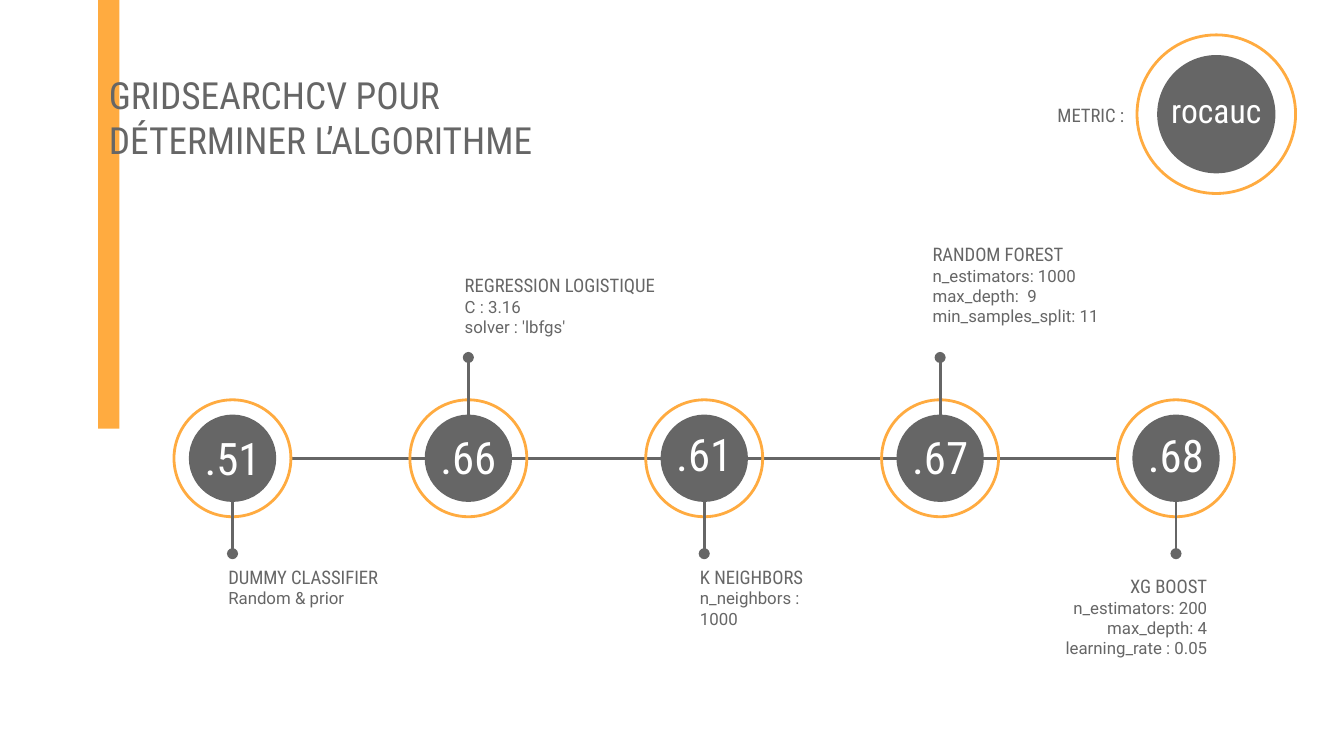
"""Build a timeline slide comparing the ROC AUC of five classifiers."""
from copy import deepcopy

from lxml import etree
from pptx import Presentation
from pptx.dml.color import RGBColor
from pptx.enum.shapes import MSO_CONNECTOR, MSO_SHAPE
from pptx.enum.text import MSO_ANCHOR, MSO_AUTO_SIZE, PP_ALIGN
from pptx.oxml.ns import qn
from pptx.util import Inches, Pt

RECT, OVAL = MSO_SHAPE.RECTANGLE, MSO_SHAPE.OVAL
STRAIGHT = MSO_CONNECTOR.STRAIGHT
TOP, MIDDLE = MSO_ANCHOR.TOP, MSO_ANCHOR.MIDDLE
LEFT, CENTER, RIGHT = PP_ALIGN.LEFT, PP_ALIGN.CENTER, PP_ALIGN.RIGHT
NO_FIT = MSO_AUTO_SIZE.NONE
ORANGE = RGBColor(0xFF, 0xAB, 0x40)
GREY = RGBColor(0x66, 0x66, 0x66)
WHITE = RGBColor(0xFF, 0xFF, 0xFF)
HEADING_FONT, BODY_FONT = "Roboto Condensed", "Roboto"

TITLE = "GRIDSEARCHCV POUR DÉTERMINER L’ALGORITHME"
METRIC_LABEL, METRIC = "METRIC :", "rocauc"
MODELS = [
    dict(score=".51", score_top=3.03, up=False, box=(1.6, 4.11, 1.38, 0.5), align=LEFT,
         lines=["DUMMY CLASSIFIER", "Random & prior"]),
    dict(score=".66", score_top=3.02, up=True, box=(3.36, 1.94, 1.97, 0.75), align=LEFT,
         lines=["REGRESSION LOGISTIQUE\nC : 3.16", "solver : 'lbfgs'"]),
    dict(score=".61", score_top=3, up=False, box=(5.11, 4.11, 1.24, 0.5), align=LEFT,
         lines=["K NEIGHBORS\nn_neighbors : 1000"]),
    dict(score=".67", score_top=3.02, up=True, box=(6.84, 1.71, 2.21, 0.75), align=LEFT,
         lines=["RANDOM FOREST\nn_estimators: 1000", "max_depth:  9",
                "min_samples_split: 11"]),
    dict(score=".68", score_top=3.01, up=False, box=(7.77, 4.18, 1.31, 0.75), align=RIGHT,
         lines=["XG BOOST\nn_estimators: 200", "max_depth: 4", "learning_rate : 0.05"]),
]

FIRST_X, LAST_X, AXIS_Y = 1.73, 8.75, 3.41
STEP = (LAST_X - FIRST_X) / (len(MODELS) - 1)
RING, DISC = 0.87, 0.65
STEM_UP, STEM_DOWN = (3.09, 2.66), (3.73, 4.12)
METRIC_X, METRIC_Y, METRIC_RING, METRIC_DISC = 9.05, 0.85, 1.18, 0.88


def add_shape(s, kind, box, fill=None, line=None):
    sp = s.shapes.add_shape(kind, *map(Inches, box))
    sp.shadow.inherit = False
    if fill is None:
        sp.fill.background()
    else:
        sp.fill.solid()
        sp.fill.fore_color.rgb = fill
    if line is None:
        sp.line.fill.background()
    else:
        sp.line.color.rgb = line
        sp.line.width = Pt(1.5)
    return sp


def add_badge(s, x, y, ring, disc):
    for size, colors in ((ring, dict(line=ORANGE)), (disc, dict(fill=GREY))):
        add_shape(s, OVAL, (x - size / 2, y - size / 2, size, size), **colors)


def add_line(s, x1, y1, x2, y2, dot=False):
    line = s.shapes.add_connector(STRAIGHT, *map(Inches, (x1, y1, x2, y2)))
    line.line.color.rgb = GREY
    line.line.width = Pt(1.5)
    if dot:
        etree.SubElement(line.line._get_or_add_ln(), qn("a:tailEnd"), type="oval")
    etree.SubElement(line._element.spPr, qn("a:effectLst"))


def write(sp, lines, size=10, color=GREY, align=LEFT, anchor=TOP):
    tf = sp.text_frame
    tf.word_wrap = True
    tf.auto_size = NO_FIT
    tf.vertical_anchor = anchor
    tf.margin_left = tf.margin_top = tf.margin_right = tf.margin_bottom = Inches(0.1)
    for i, line in enumerate(lines):
        p = tf.add_paragraph() if i else tf.paragraphs[0]
        p.alignment = align
        for j, text in enumerate(line.split("\n")):
            if j:
                p.add_line_break()
                p._p[-1].append(deepcopy(r._r.rPr))
            r = p.add_run()
            r.text = text
            r.font.name = BODY_FONT if i or j else HEADING_FONT
            r.font.size = Pt(9 if i or j else size)
            r.font.color.rgb = color


def add_text(s, box, lines, **style):
    write(s.shapes.add_textbox(*map(Inches, box)), lines, **style)


def main():
    prs = Presentation()
    prs.slide_width = Inches(10)
    prs.slide_height = prs.slide_width * 9 // 16
    s = prs.slides.add_slide(prs.slide_layouts[5])

    title = s.shapes.title
    title.left, title.top, title.width, title.height = map(Inches, (0.71, 0.44, 3.79, 0.79))
    write(title, [TITLE], size=20)
    bar = add_shape(s, RECT, (0.73, -0.01, 0.16, 3.2), fill=ORANGE)
    title._element.addprevious(bar._element)

    add_line(s, FIRST_X + RING / 2, AXIS_Y, LAST_X - RING / 2, AXIS_Y)
    for i, model in enumerate(MODELS):
        x = FIRST_X + i * STEP
        start, end = STEM_UP if model["up"] else STEM_DOWN
        add_badge(s, x, AXIS_Y, RING, DISC)
        add_line(s, x, start, x, end, dot=True)
        add_text(s, (x - 0.39, model["score_top"], 0.78, 0.75), [model["score"]],
                 size=24, color=WHITE, align=CENTER, anchor=MIDDLE)
        add_text(s, model["box"], model["lines"], align=model["align"])

    add_badge(s, METRIC_X, METRIC_Y, METRIC_RING, METRIC_DISC)
    add_text(s, (METRIC_X - METRIC_RING / 2, 0.44, METRIC_RING, 0.75), [METRIC],
             size=18, color=WHITE, align=CENTER, anchor=MIDDLE)
    add_text(s, (7.77, 0.67, 0.76, 0.33), [METRIC_LABEL])
    prs.save("out.pptx")


if __name__ == "__main__":
    main()
